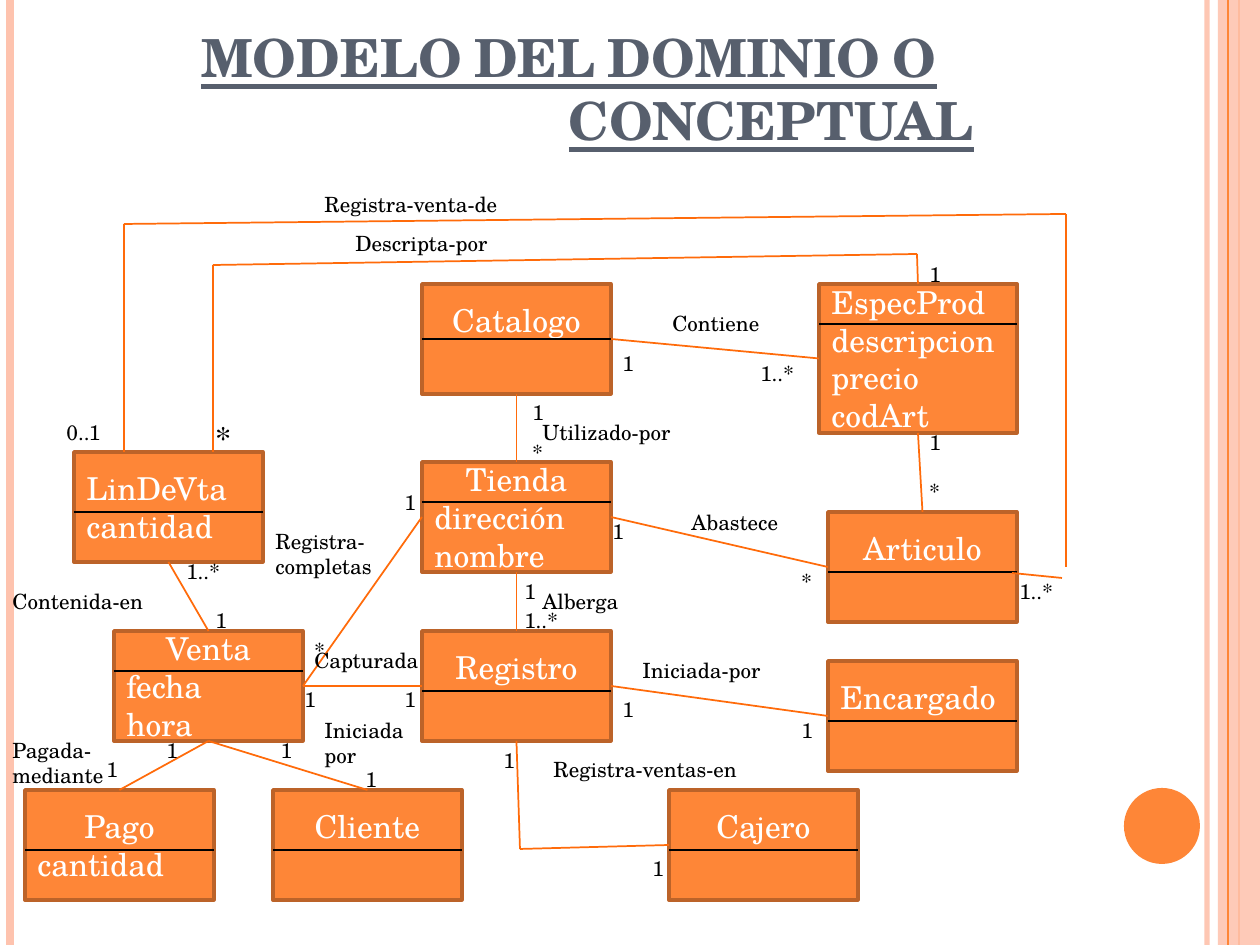
from dataclasses import dataclass
from enum import IntEnum
from itertools import pairwise

from lxml.etree import SubElement
from pptx import Presentation
from pptx.dml.color import RGBColor
from pptx.enum.shapes import MSO_CONNECTOR, MSO_SHAPE
from pptx.enum.text import MSO_ANCHOR, MSO_AUTO_SIZE, PP_ALIGN
from pptx.oxml.ns import qn
from pptx.util import Emu, Pt


class Side(IntEnum):
    TOP = 0
    LEFT = 1
    BOTTOM = 2
    RIGHT = 3


@dataclass(frozen=True)
class Theme:
    font: str = "TeX Gyre Schola"
    title: str = "575F6D"
    accent: str = "FE8637"
    border: str = "BC6329"
    link: str = "FF6B0A"
    pale: str = "FEC3AE"
    ink: str = "000000"
    white: str = "FFFFFF"
    title_size: int = 30
    box_size: int = 18
    label_size: int = 12


def px(length):
    return Emu(round(length * 914400 / 126))


class DomainPage:
    def __init__(self, deck, theme):
        self.theme = theme
        self.page = deck.slides.add_slide(deck.slide_layouts[5])
        self.boxes = {}

    def add_span(self, para, text, size, color, align=PP_ALIGN.LEFT):
        para.alignment = align
        span = para.add_run()
        span.text = text
        span.font.name = self.theme.font
        span.font.size = Pt(size)
        span.font.color.rgb = RGBColor.from_string(color)
        return span

    def add_lines(self, frame, lines, size, color, first_align=PP_ALIGN.LEFT):
        for index, text in enumerate(lines):
            para = frame.add_paragraph() if index else frame.paragraphs[0]
            self.add_span(para, text, size, color, PP_ALIGN.LEFT if index else first_align)

    def fade(self, fill, percent):
        color = fill._xPr.find(qn("a:solidFill"))[0]
        SubElement(color, qn("a:alpha")).set("val", str(percent * 1000))

    def title(self, text, left, top, width, height):
        box = self.page.shapes.title
        box.left, box.top, box.width, box.height = map(px, (left, top, width, height))
        frame = box.text_frame
        frame.word_wrap = True
        frame.auto_size = MSO_AUTO_SIZE.NONE
        frame.vertical_anchor = MSO_ANCHOR.BOTTOM
        span = self.add_span(frame.paragraphs[0], text, self.theme.title_size,
                             self.theme.title, PP_ALIGN.CENTER)
        span.font.bold = span.font.underline = True
        span.font._element.set("cap", "small")

    def shape(self, kind, left, top, width, height, color, opacity=100):
        shape = self.page.shapes.add_shape(kind, *map(px, (left, top, width, height)))
        shape.shadow.inherit = False
        shape.fill.solid()
        shape.fill.fore_color.rgb = RGBColor.from_string(color)
        shape.line.fill.background()
        if opacity < 100:
            self.fade(shape.fill, opacity)
        return shape

    def line(self, start, end, color, weight=1, opacity=100):
        ends = [(0, 0) if isinstance(point[0], str) else point for point in (start, end)]
        link = self.page.shapes.add_connector(
            MSO_CONNECTOR.STRAIGHT, *(px(value) for point in ends for value in point))
        link.line.width = Pt(weight)
        link.line.color.rgb = RGBColor.from_string(color)
        SubElement(link._element.spPr, qn("a:effectLst"))
        if opacity < 100:
            self.fade(link.line.fill, opacity)
        for point, connect in ((start, link.begin_connect), (end, link.end_connect)):
            if isinstance(point[0], str):
                connect(self.boxes[point[0]], int(point[1]))

    def concept(self, lines, left, top, align, width, height):
        box = self.shape(MSO_SHAPE.RECTANGLE, left, top, width, height, self.theme.accent)
        box.line.color.rgb = RGBColor.from_string(self.theme.border)
        box.line.width = Pt(2)
        frame = box.text_frame
        frame.vertical_anchor = MSO_ANCHOR.MIDDLE
        if len(lines) == 1:
            frame.margin_bottom = px(44)
        self.add_lines(frame, lines, self.theme.box_size, self.theme.white, align)
        self.boxes[lines[0]] = box

    def divider(self, name, left, top, width, height, offset):
        if offset * 2 == height:
            start, end = (name, Side.LEFT), (name, Side.RIGHT)
        else:
            start, end = (left, top + offset), (left + width, top + offset)
        self.line(start, end, self.theme.ink)

    def label(self, text, left, top, width, size):
        lines = text.split("\n")
        box = self.page.shapes.add_textbox(*map(px, (left, top, width, 13 + 25 * len(lines))))
        box.text_frame.word_wrap = True
        box.text_frame.auto_size = MSO_AUTO_SIZE.SHAPE_TO_FIT_TEXT
        self.add_lines(box.text_frame, lines, size, self.theme.ink)


WIDE, TALL = 189, 110
LEFT, CENTER = PP_ALIGN.LEFT, PP_ALIGN.CENTER

CONCEPTS = [
    (["LinDeVta", "cantidad"], 74, 452, LEFT, WIDE, TALL, 60),
    (["Venta", "fecha", "hora"], 114, 631, CENTER, WIDE, TALL, 40),
    (["Pago", "cantidad"], 25, 790, CENTER, WIDE, TALL, 60),
    (["Cliente"], 273, 790, CENTER, WIDE, TALL, 60),
    (["Catalogo"], 422, 284, CENTER, WIDE, TALL, 55),
    (["Tienda", "dirección", "nombre"], 422, 462, CENTER, WIDE, TALL, 40),
    (["Registro"], 422, 631, CENTER, WIDE, TALL, 60),
    (["EspecProd", "descripcion", "precio", "codArt"], 819, 284, LEFT, 198, 149, 40),
    (["Articulo"], 828, 512, CENTER, WIDE, TALL, 60),
    (["Encargado"], 828, 661, LEFT, WIDE, TALL, 60),
    (["Cajero"], 669, 790, CENTER, WIDE, TALL, 60),
]

ROUTES = [
    [(124, 452), (124, 224), (1066, 214), (1066, 567)],
    [(213, 452), (213, 265), (917, 254), ("EspecProd", Side.TOP)],
    [(1062, 578), (1012, 573)],
    [("EspecProd", Side.BOTTOM), ("Articulo", Side.TOP)],
    [("Registro", Side.RIGHT), ("Encargado", Side.LEFT)],
    [("Registro", Side.BOTTOM), (520, 849), ("Cajero", Side.LEFT)],
    [("Catalogo", Side.BOTTOM), ("Tienda", Side.TOP)],
    [("Tienda", Side.BOTTOM), ("Registro", Side.TOP)],
    [("Venta", Side.RIGHT), ("Tienda", Side.LEFT)],
    [("LinDeVta", Side.BOTTOM), ("Venta", Side.TOP)],
    [("Pago", Side.TOP), ("Venta", Side.BOTTOM)],
    [("Cliente", Side.TOP), ("Venta", Side.BOTTOM)],
    [("Tienda", Side.RIGHT), ("Articulo", Side.LEFT)],
    [("Catalogo", Side.RIGHT), ("EspecProd", Side.LEFT)],
    [("Venta", Side.RIGHT), ("Registro", Side.LEFT)],
]

RELATIONS = [
    ("Registra-venta-de", 312, 185, 200), ("Contenida-en", 0, 582, 158),
    ("Pagada-mediante", 0, 731, 134), ("Iniciada\npor", 312, 711, 110),
    ("Registra-ventas-en", 541, 750, 218), ("Iniciada-por", 630, 651, 228),
    ("Abastece", 679, 503, 139), ("Contiene", 660, 304, 129),
    ("Descripta-por", 343, 224, 189), ("Registra-\ncompletas", 263, 522, 129),
    ("Capturada", 302, 641, 139), ("Alberga", 530, 582, 129),
    ("Utilizado-por", 530, 413, 169),
]

MULTIPLICITIES = [
    ("0..1", 54, 413, 69), ("1", 917, 255, 39), ("1..*", 174, 552, 69),
    ("1", 203, 601, 49), ("1", 154, 731, 39), ("1", 94, 750, 39),
    ("1", 273, 731, 20), ("1", 353, 760, 39), ("*", 302, 631, 39),
    ("1", 392, 483, 30), ("1", 292, 680, 39), ("1", 392, 680, 39),
    ("1", 520, 393, 39), ("*", 520, 433, 49), ("1", 512, 572, 49),
    ("1..*", 512, 601, 79), ("1", 610, 344, 49), ("1..*", 748, 354, 69),
    ("1", 600, 512, 30), ("*", 789, 562, 30), ("1", 610, 690, 30),
    ("1", 789, 711, 39), ("1", 491, 741, 39), ("1", 640, 849, 30),
    ("1..*", 1007, 572, 69), ("1", 917, 423, 69), ("*", 917, 472, 49),
]


def main():
    deck = Presentation()
    deck.slide_width, deck.slide_height = px(1260), px(945)
    theme = Theme()
    domain = DomainPage(deck, theme)
    domain.line((1207, 0), (1207, 945), theme.pale, 3, 93)
    domain.line((10, 0), (10, 945), theme.pale, 4.5)
    domain.line((1239, 0), (1239, 945), theme.accent, 1.5)
    domain.shape(MSO_SHAPE.RECTANGLE, 1218, 0, 42, 945, theme.pale, 87)
    domain.line((1228, 0), (1228, 945), theme.accent, 0.75)
    domain.shape(MSO_SHAPE.OVAL, 1124, 788, 76, 76, theme.accent)
    domain.title("MODELO DEL DOMINIO O CONCEPTUAL", 54, 0, 1030, 157)
    for lines, left, top, align, width, height, _ in CONCEPTS:
        domain.concept(lines, left, top, align, width, height)
    for lines, left, top, _, width, height, offset in CONCEPTS:
        domain.divider(lines[0], left, top, width, height, offset)
    for route in ROUTES:
        for start, end in pairwise(route):
            domain.line(start, end, theme.link)
    for text, left, top, width in RELATIONS + MULTIPLICITIES:
        domain.label(text, left, top, width, theme.label_size)
    domain.label("*", 203, 413, 59, theme.box_size)
    deck.save("out.pptx")


if __name__ == "__main__":
    main()
